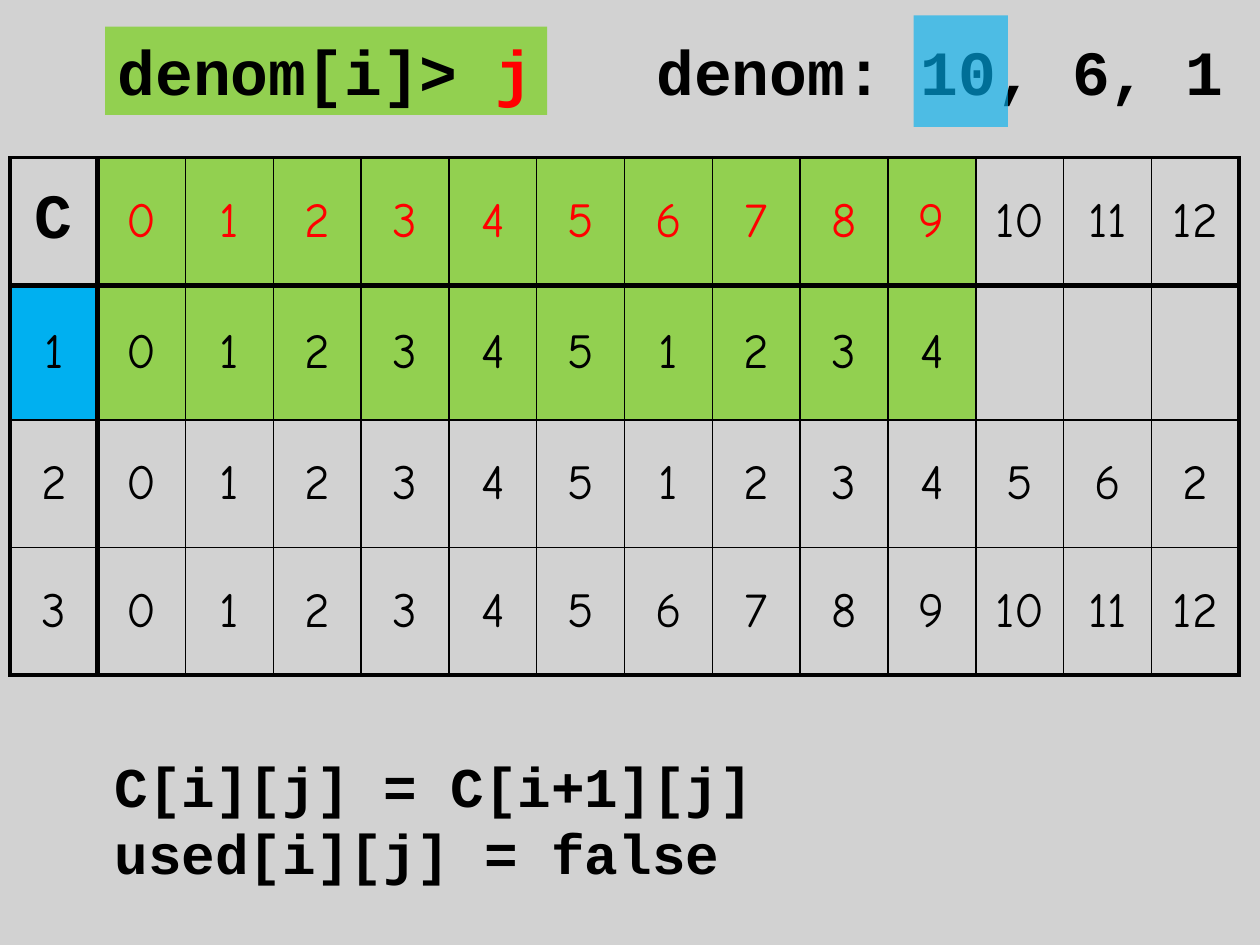
from lxml.etree import SubElement
from pptx import Presentation
from pptx.dml.color import RGBColor
from pptx.enum.shapes import MSO_SHAPE
from pptx.enum.text import MSO_ANCHOR, MSO_AUTO_SIZE, PP_ALIGN
from pptx.oxml.ns import qn
from pptx.util import Cm, Pt

HUES = {
    "black": "000000",
    "red": "FF0000",
    "green": "92D050",
    "blue": "00B0F0",
    "gray": "C0C0C0",
}
CODE = {"name": "Courier New", "size": Pt(36), "bold": True}
SMALL = {**CODE, "size": Pt(32)}
DIGIT = {"name": "Comic Neue", "size": Pt(28), "bold": False}

GRID = [
    ["C", *range(13)],
    [1, 0, 1, 2, 3, 4, 5, 1, 2, 3, 4, "", "", ""],
    [2, 0, 1, 2, 3, 4, 5, 1, 2, 3, 4, 5, 6, 2],
    [3, *range(13)],
]
TALL = [2.57, 2.72, 2.57, 2.57]
WIDE = 1.77
COIN = 10  # the coin being tried: columns below it are green
THIN, EDGE, HEAVY = 1, 2.25, 3


def apply(obj, form):
    for key, val in form.items():
        setattr(obj, key, val)


def paint(fill, hue, alpha=100):
    fill.solid()
    fill.fore_color.rgb = RGBColor.from_string(HUES[hue])
    if alpha < 100:
        node = fill._xPr.find(qn("a:solidFill"))[0]
        SubElement(node, qn("a:alpha"), val=str(alpha * 1000))


def add_run(para, text, form, hue="black"):
    run = para.add_run()
    run.text = text
    apply(run.font, form)
    run.font.color.rgb = RGBColor.from_string(HUES[hue])


def add_rect(slide, box, hue, alpha=100):
    rect = slide.shapes.add_shape(MSO_SHAPE.RECTANGLE, *map(Cm, box))
    rect.shadow.inherit = False
    rect.line.fill.background()
    paint(rect.fill, hue, alpha)
    return rect


def write(shape, lines, form):
    """Fill a shape with lines, each a list of (text, hue) parts."""
    frame = shape.text_frame
    apply(frame, {
        "word_wrap": False,
        "auto_size": MSO_AUTO_SIZE.SHAPE_TO_FIT_TEXT,
        "vertical_anchor": MSO_ANCHOR.TOP,
    })
    for num, parts in enumerate(lines):
        para = frame.add_paragraph() if num else frame.paragraphs[0]
        para.alignment = PP_ALIGN.LEFT
        for text, hue in parts:
            add_run(para, text, form, hue)


def add_note(slide, box, lines, form):
    note = slide.shapes.add_textbox(*map(Cm, box))
    write(note, [[(line, "black")] for line in lines], form)


def rule(pos, last):
    """Width of the grid line before row or column pos."""
    if pos in (0, last):
        return EDGE
    return HEAVY if pos == 1 else THIN


def add_edges(cell, row, col):
    sides = {
        "L": rule(col, len(GRID[0])),
        "R": rule(col + 1, len(GRID[0])),
        "T": rule(row, len(GRID)),
        "B": rule(row + 1, len(GRID)),
    }
    props = cell._tc.get_or_add_tcPr()
    for side, width in sides.items():
        line = SubElement(props, qn(f"a:ln{side}"), w=str(Pt(width)))
        fill = SubElement(line, qn("a:solidFill"))
        SubElement(fill, qn("a:srgbClr"), val=HUES["black"])


def fill_cell(cell, row, col):
    green = row < 2 and 1 <= col <= COIN
    add_edges(cell, row, col)
    if green:
        paint(cell.fill, "green")
    elif (row, col) == (1, 0):
        paint(cell.fill, "blue")
    else:
        cell.fill.background()
    cell.vertical_anchor = MSO_ANCHOR.MIDDLE
    para = cell.text_frame.paragraphs[0]
    para.alignment = PP_ALIGN.CENTER
    text = str(GRID[row][col])
    if text:
        form = CODE if text == "C" else DIGIT
        add_run(para, text, form, "red" if green and row == 0 else "black")


def add_grid(slide, left, top):
    rows, cols = len(GRID), len(GRID[0])
    box = map(Cm, (left, top, WIDE * cols, sum(TALL)))
    table = slide.shapes.add_table(rows, cols, *box).table
    apply(table, {"first_row": False, "horz_banding": False})
    for col in table.columns:
        col.width = Cm(WIDE)
    for row, tall in zip(table.rows, TALL):
        row.height = Cm(tall)
    for row in range(rows):
        for col in range(cols):
            fill_cell(table.cell(row, col), row, col)


def main():
    deck = Presentation()
    apply(deck, {"slide_width": Cm(25.4), "slide_height": Cm(19.05)})
    slide = deck.slides.add_slide(deck.slide_layouts[6])

    add_rect(slide, (0, 0, 25.4, 19.05), "gray", 70)
    add_grid(slide, 0.2, 3.18)
    add_note(slide, (12.98, 0.54, 11.96, 1.78), ["denom: 10, 6, 1"], CODE)
    add_rect(slide, (18.42, 0.31, 1.9, 2.25), "blue", 63)
    test = add_rect(slide, (2.12, 0.54, 8.91, 1.78), "green")
    write(test, [[("denom[i]> ", "black"), ("j", "red")]], CODE)
    add_note(slide, (2.06, 15.03, 13.54, 3),
             ["C[i][j] = C[i+1][j]", "used[i][j] = false"], SMALL)

    deck.save("out.pptx")


if __name__ == "__main__":
    main()
